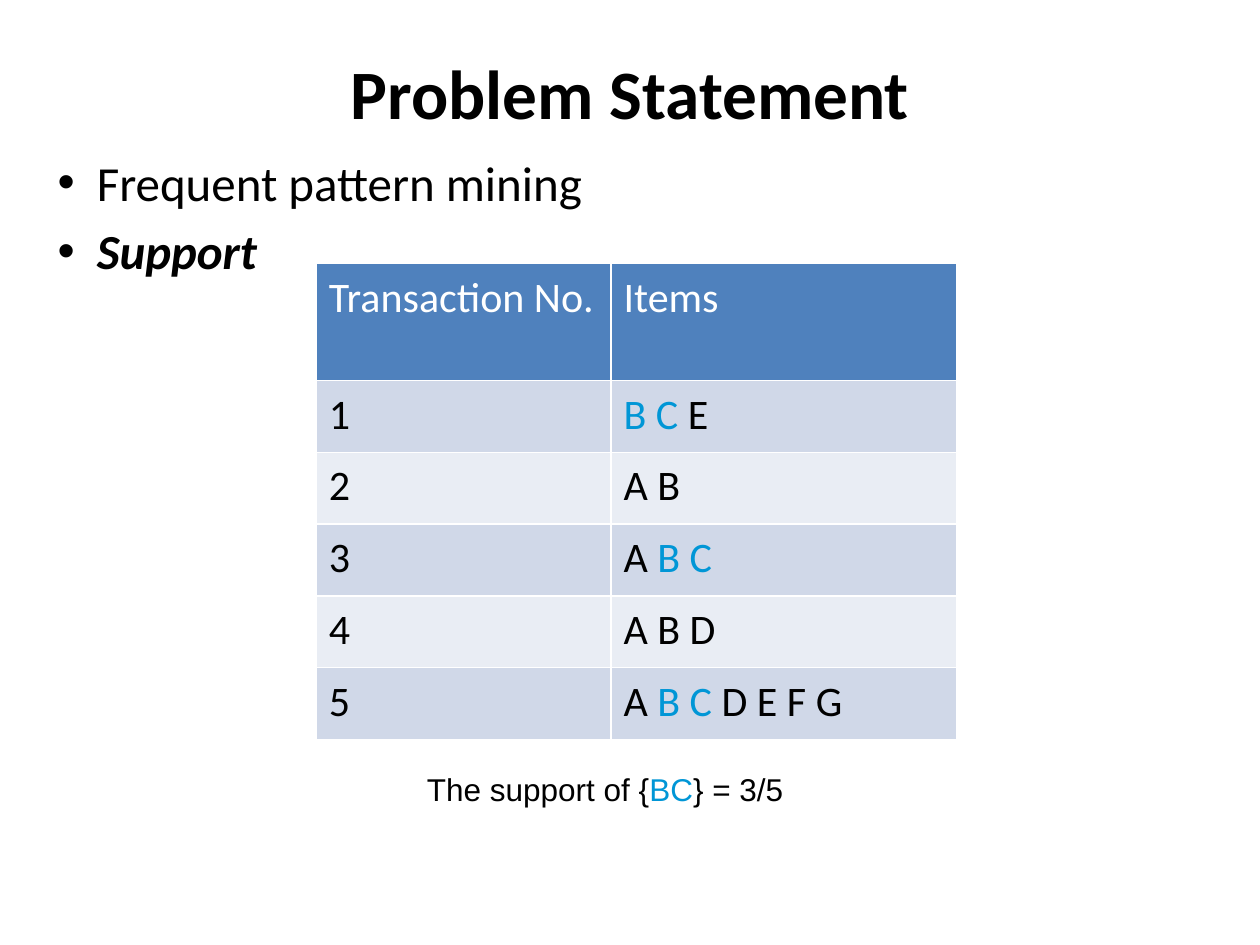
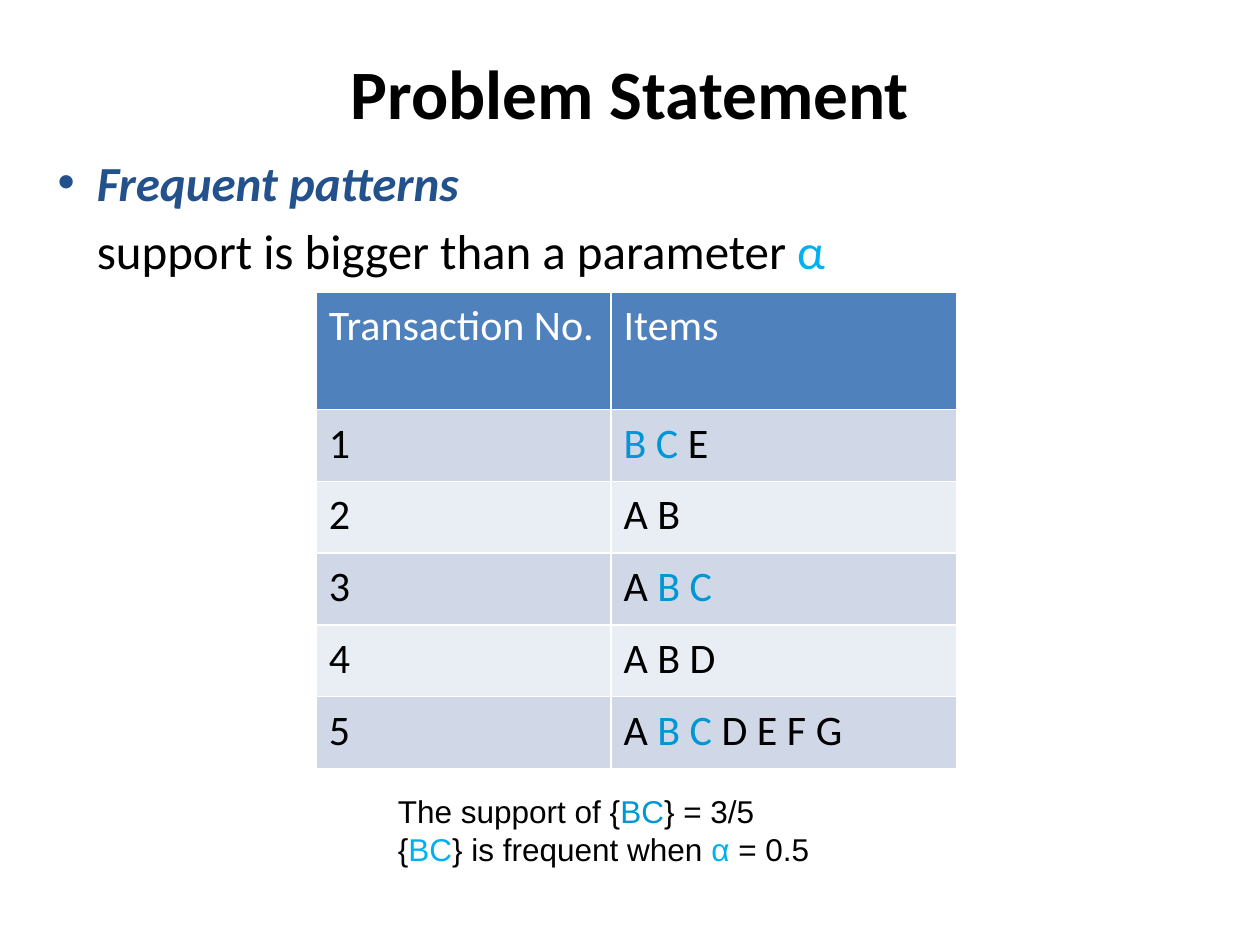
import pptx
import pptx.dml.color
import pptx.enum.text
import pptx.oxml
import pptx.oxml.ns
import pptx.util
from pptx.util import Inches

COLORS = {
    "text": "000000",
    "white": "FFFFFF",
    "header": "4F81BD",
    "band_dark": "D0D8E8",
    "band_light": "E9EDF4",
    "itemset": "0096D6",
    "parameter": "00B0F0",
    "term": "23518B",
}
HEADING_FONT = "Calibri"
CAPTION_FONT = "Arial"
TITLE_BOX = (0.36, 0.49, 9.28, 0.47)
BODY_BOX = (0.36, 1.16, 9.28, 5.06)
BULLET_INDENT = 0.31
COLUMN_WIDTHS = (2.34, 2.74)
HEADER_HEIGHT = 0.93
ROW_HEIGHT = 0.57
FREQUENT_ITEMS = "B C"
TRANSACTIONS = ("B C E", "A B", "A B C", "A B D", "A B C D E F G")
SUPPORT_LINE = [("The support of {", "text"), ("BC", "itemset"), ("} = 3/5", "text")]


def color(name):
    return pptx.dml.color.RGBColor.from_string(COLORS[name])


def add_runs(paragraph, runs, size, font, bold=False, italic=False):
    for text, color_name in runs:
        run = paragraph.add_run()
        run.text = text
        run.font.size = pptx.util.Pt(size)
        run.font.name = font
        run.font.bold = bold
        run.font.italic = italic
        run.font.color.rgb = color(color_name)


def add_text_frame(slide, box):
    frame = slide.shapes.add_textbox(*map(Inches, box)).text_frame
    frame.word_wrap = True
    return frame


def paragraph_at(frame, index):
    return frame.paragraphs[0] if index == 0 else frame.add_paragraph()


def add_title(slide, box):
    frame = add_text_frame(slide, box)
    frame.vertical_anchor = pptx.enum.text.MSO_ANCHOR.MIDDLE
    paragraph = frame.paragraphs[0]
    paragraph.alignment = pptx.enum.text.PP_ALIGN.CENTER
    add_runs(paragraph, [("Problem Statement", "text")], 39.6, HEADING_FONT, bold=True)


def set_bullet(paragraph, bulleted):
    properties = paragraph._p.get_or_add_pPr()
    properties.set("marL", str(Inches(BULLET_INDENT)))
    properties.set("indent", str(Inches(-BULLET_INDENT) if bulleted else 0))
    namespace = pptx.oxml.ns.nsdecls("a")
    if bulleted:
        properties.append(pptx.oxml.parse_xml(f'<a:buFont {namespace} typeface="{CAPTION_FONT}"/>'))
        properties.append(pptx.oxml.parse_xml(f'<a:buChar {namespace} char="•"/>'))
    else:
        properties.append(pptx.oxml.parse_xml(f"<a:buNone {namespace}/>"))


def add_body(slide, box, lines):
    frame = add_text_frame(slide, box)
    for index, (runs, bulleted, emphasized) in enumerate(lines):
        paragraph = paragraph_at(frame, index)
        set_bullet(paragraph, bulleted)
        if index:
            paragraph.space_before = pptx.util.Pt(5.6)
        add_runs(paragraph, runs, 28, HEADING_FONT, emphasized, emphasized)


def add_borders(cell):
    properties = cell._tc.get_or_add_tcPr()
    for position, side in enumerate(("lnL", "lnR", "lnT", "lnB")):
        border = pptx.oxml.parse_xml(
            f'<a:{side} {pptx.oxml.ns.nsdecls("a")} w="{pptx.util.Pt(1)}">'
            f'<a:solidFill><a:srgbClr val="{COLORS["white"]}"/></a:solidFill></a:{side}>'
        )
        properties.insert(position, border)


def fill_cell(cell, runs, fill_name):
    cell.margin_left = cell.margin_right = Inches(0.1)
    cell.margin_top = cell.margin_bottom = Inches(0.07)
    cell.fill.solid()
    cell.fill.fore_color.rgb = color(fill_name)
    add_borders(cell)
    add_runs(cell.text_frame.paragraphs[0], runs, 24, HEADING_FONT)


def highlight_items(items):
    before, match, after = items.partition(FREQUENT_ITEMS)
    parts = [(before, "text"), (match, "itemset"), (after, "text")]
    return [part for part in parts if part[0]]


def add_transaction_table(slide, left, top):
    row_count = len(TRANSACTIONS) + 1
    height = HEADER_HEIGHT + ROW_HEIGHT * len(TRANSACTIONS)
    table = slide.shapes.add_table(
        row_count, len(COLUMN_WIDTHS),
        Inches(left), Inches(top), Inches(sum(COLUMN_WIDTHS)), Inches(height),
    ).table
    for column, width in zip(table.columns, COLUMN_WIDTHS):
        column.width = Inches(width)
    for index, row in enumerate(table.rows):
        row.height = Inches(ROW_HEIGHT if index else HEADER_HEIGHT)
    for column_index, heading in enumerate(("Transaction No.", "Items")):
        fill_cell(table.cell(0, column_index), [(heading, "white")], "header")
    for number, items in enumerate(TRANSACTIONS, start=1):
        band = "band_dark" if number % 2 else "band_light"
        fill_cell(table.cell(number, 0), [(str(number), "text")], band)
        fill_cell(table.cell(number, 1), highlight_items(items), band)


def add_caption(slide, box, lines):
    frame = add_text_frame(slide, box)
    for index, runs in enumerate(lines):
        add_runs(paragraph_at(frame, index), runs, 18, CAPTION_FONT)


def add_problem_slide(presentation, body_lines, table_top, caption_box, caption_lines):
    slide = presentation.slides.add_slide(presentation.slide_layouts[6])
    add_title(slide, TITLE_BOX)
    add_body(slide, BODY_BOX, body_lines)
    add_transaction_table(slide, 2.51, table_top)
    add_caption(slide, caption_box, caption_lines)


def main():
    presentation = pptx.Presentation()
    presentation.slide_width = Inches(10)
    presentation.slide_height = Inches(7.5)
    add_problem_slide(
        presentation,
        [
            ([("Frequent pattern mining", "text")], True, False),
            ([("Support", "text")], True, True),
        ],
        2.09,
        (3.29, 6.06, 3.42, 0.71),
        [SUPPORT_LINE],
    )
    add_problem_slide(
        presentation,
        [
            ([("Frequent patterns", "term")], True, True),
            ([("support is bigger than a parameter ", "text"), ("α", "parameter")], False, False),
        ],
        2.32,
        (3.06, 6.24, 4.38, 1.01),
        [
            SUPPORT_LINE,
            [
                ("{", "text"), ("BC", "parameter"), ("} is frequent when ", "text"),
                ("α ", "parameter"), ("= 0.5", "text"),
            ],
        ],
    )
    presentation.save("out.pptx")


if __name__ == "__main__":
    main()
